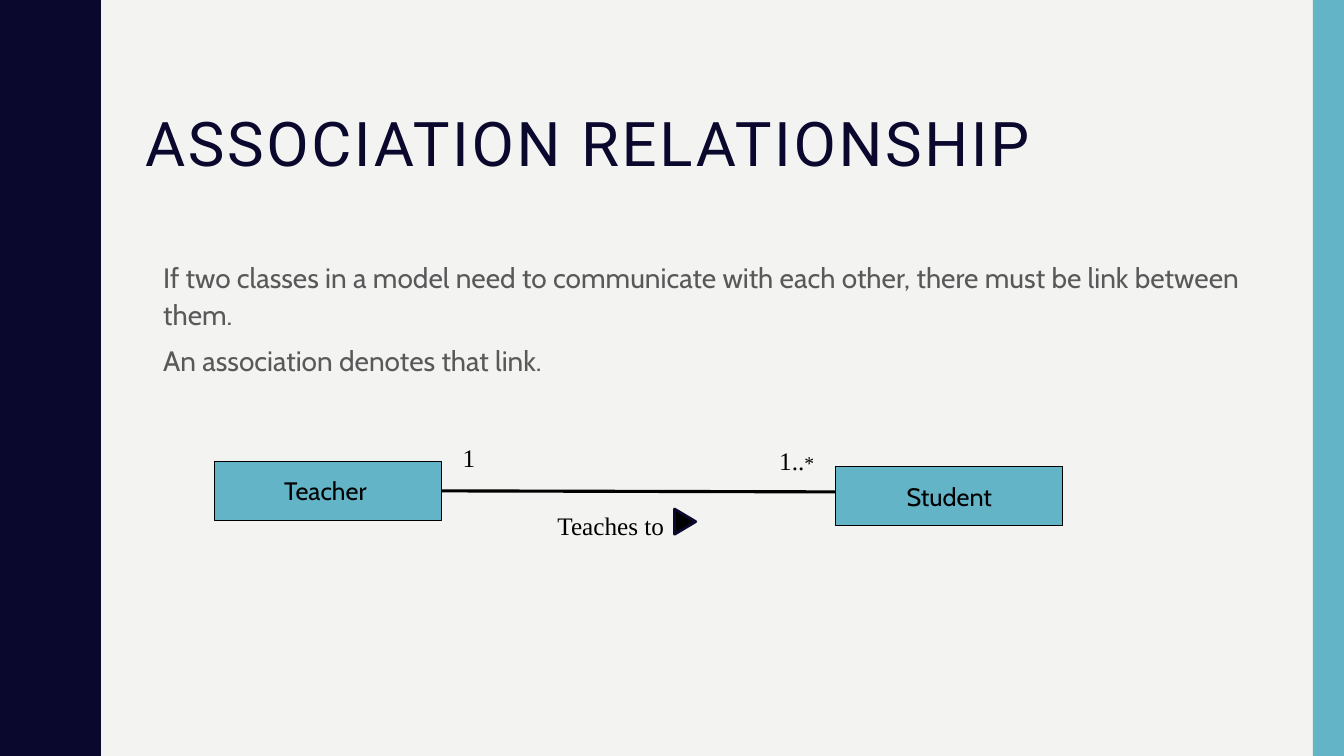
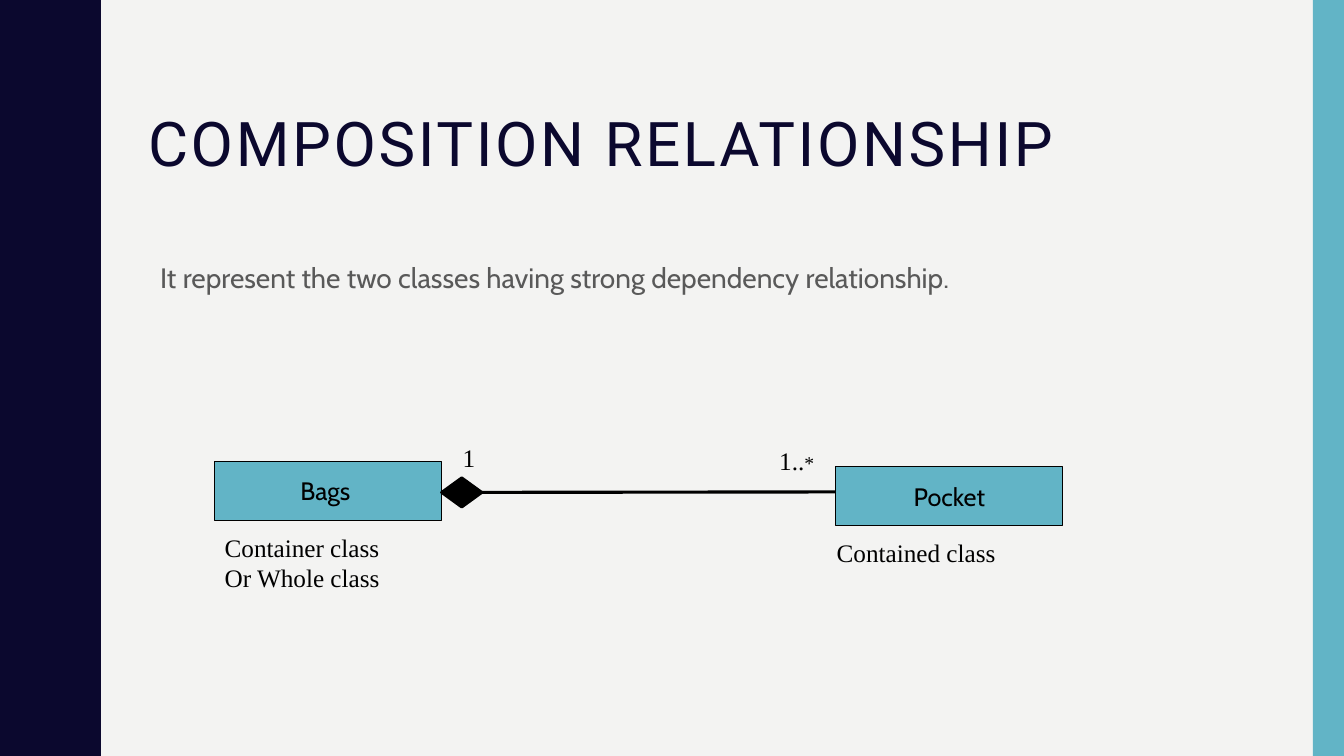
"""Build two slides on class relationships."""
import pptx
import pptx.util
import pptx.dml.color
import pptx.enum.shapes
import pptx.enum.text
import lxml.etree

Inches = pptx.util.Inches
Pt = pptx.util.Pt
KIND = pptx.enum.shapes.MSO_SHAPE
ALIGN = pptx.enum.text.PP_ALIGN
ANCHOR = pptx.enum.text.MSO_ANCHOR

NAVY, TEAL, PAPER = "0B082E", "62B4C6", "F3F3F2"
GREY, BLACK = "595959", "000000"
HEAD, BODY, NOTE = "Roboto", "Cabin", "Times New Roman"
WIDE, HIGH = 13.33, 7.5
WAVE = 1.5
CURVE = [(0.78, 0), (0.78, 0.07), (0.79, 0.14), (0.8, 0.2), (0.81, 0.25),
         (0.83, 0.29), (0.85, 0.33), (0.87, 0.37), (0.89, 0.42),
         (0.91, 0.46), (0.93, 0.5), (0.95, 0.55), (0.96, 0.61),
         (0.96, 0.68), (0.97, 0.75)]


def color(code):
    return pptx.dml.color.RGBColor.from_string(code)


def paint(shape, fill, edge=None, width=0.75):
    shape.shadow.inherit = False
    shape.fill.solid()
    shape.fill.fore_color.rgb = color(fill)
    if edge:
        shape.line.color.rgb = color(edge)
        shape.line.width = Pt(width)
    else:
        shape.line.fill.background()


def draw(slide, kind, at, fill, edge=None, width=0.75):
    shape = slide.shapes.add_shape(kind, *map(Inches, at))
    paint(shape, fill, edge, width)
    return shape


def add_run(para, text, size, font, code, gap=0):
    run = para.add_run()
    run.text = text
    run.font.size = Pt(size)
    run.font.name = font
    run.font.color.rgb = color(code)
    if gap:
        run._r.get_or_add_rPr().set("spc", str(round(gap * 100)))


def add_text(slide, at, paras, font, code, gap=0, lead=1, before=0):
    frame = slide.shapes.add_textbox(*map(Inches, at)).text_frame
    frame.word_wrap = True
    for i, runs in enumerate(paras):
        para = frame.add_paragraph() if i else frame.paragraphs[0]
        para.line_spacing = lead
        para.space_before = Pt(before)
        for text, size in runs:
            add_run(para, text, size, font, code, gap)


def add_note(slide, left, top, width, *lines):
    height = 0.1 + 0.3 * len(lines)
    add_text(slide, (left, top, width, height), lines, NOTE, BLACK)


def add_body(slide, left, height, *lines):
    paras = [[(line, 20)] for line in lines]
    add_text(slide, (left, 2.5, 11.13, height), paras, BODY, GREY,
             lead=1.1, before=7)


def add_class(slide, left, top, name):
    box = draw(slide, KIND.RECTANGLE, (left, top, 2.25, 0.58), TEAL, BLACK)
    frame = box.text_frame
    frame.word_wrap = False
    frame.vertical_anchor = ANCHOR.MIDDLE
    para = frame.paragraphs[0]
    para.alignment = ALIGN.CENTER
    add_run(para, name, 18, BODY, BLACK)
    return box


def add_link(slide, start, x, y):
    link = slide.shapes.add_connector(
        pptx.enum.shapes.MSO_CONNECTOR.STRAIGHT, 0, 0, Inches(x), Inches(y))
    link.begin_connect(start, 3)
    link.line.color.rgb = color(BLACK)
    link.line.width = Pt(2.25)
    props = link._element.spPr
    lxml.etree.SubElement(props, pptx.oxml.ns.qn("a:effectLst"))


def add_wave(slide):
    full = CURVE + [(x, WAVE - y) for x, y in CURVE[-2::-1]]
    edge = [(x, y + i * WAVE) for i in range(round(HIGH / WAVE))
            for x, y in full]
    form = slide.shapes.build_freeform(0, 0, scale=Inches(1))
    form.add_line_segments(edge + [(0, HIGH)], close=True)
    paint(form.convert_to_shape(), NAVY)


def add_page(deck, title, left):
    slide = deck.slides.add_slide(deck.slide_layouts[6])
    back = slide.background.fill
    back.solid()
    back.fore_color.rgb = color(PAPER)
    add_wave(slide)
    draw(slide, KIND.RECTANGLE, (13.02, 0, 0.31, HIGH), TEAL)
    add_text(slide, (left, 1.07, 11.13, 1.63), [[(title, 44)]],
             HEAD, NAVY, gap=1.9, lead=0.9)
    return slide


def add_pair(slide, first, second):
    start = add_class(slide, 2.13, 4.58, first)
    add_class(slide, 8.29, 4.63, second)
    add_note(slide, 4.49, 4.34, 0.4, [("1", 18)])
    add_note(slide, 7.63, 4.37, 0.67, [("1..", 18), ("*", 14)])
    return start


def add_assoc(deck):
    slide = add_page(deck, "ASSOCIATION RELATIONSHIP", 1.34)
    add_body(slide, 1.52, 1.63,
             "If two classes in a model need to communicate with each other, "
             "there must be link between them.",
             "An association denotes that link.")
    start = add_pair(slide, "Teacher ", "Student")
    add_link(slide, start, 8.29, 4.88)
    add_note(slide, 5.43, 5.01, 2.25, [("Teaches to", 18)])
    arrow = draw(slide, KIND.FLOWCHART_EXTRACT, (6.67, 5.07, 0.25, 0.21),
                 BLACK, NAVY, 2)
    arrow.rotation = 90


def add_comp(deck):
    slide = add_page(deck, "COMPOSITION RELATIONSHIP", 1.37)
    add_body(slide, 1.49, 0.58,
             "It represent the two classes having strong dependency "
             "relationship.")
    add_pair(slide, "Bags ", "Pocket")
    whole = draw(slide, KIND.FLOWCHART_DECISION, (4.38, 4.74, 0.4, 0.29),
                 BLACK, BLACK, 2)
    add_link(slide, whole, 8.29, 4.88)
    add_note(slide, 2.13, 5.23, 2.25,
             [("Container class", 18)], [("Or Whole class", 18)])
    add_note(slide, 8.2, 5.28, 2.25, [("Contained class", 18)])


def main():
    deck = pptx.Presentation()
    deck.slide_width = Inches(WIDE)
    deck.slide_height = Inches(HIGH)
    add_assoc(deck)
    add_comp(deck)
    deck.save("out.pptx")


if __name__ == "__main__":
    main()
